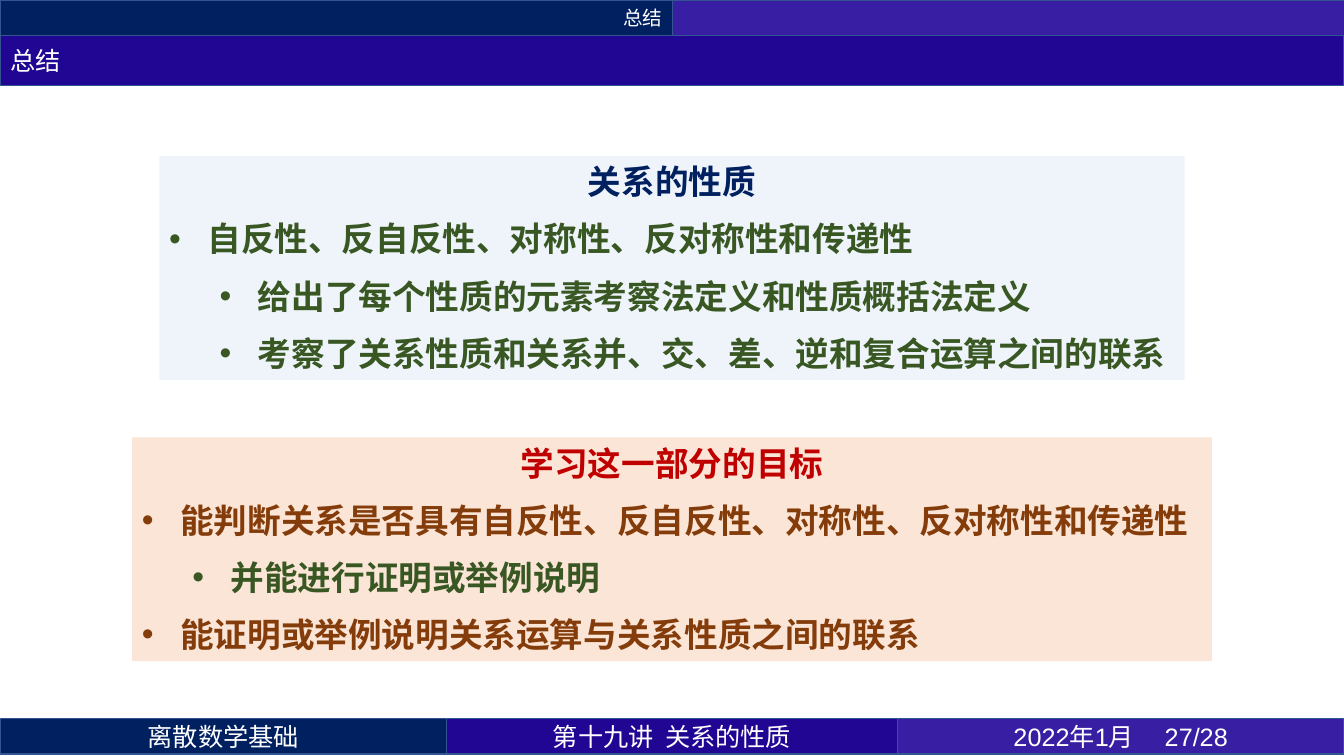
from lxml import etree
from pptx import Presentation
from pptx.dml.color import RGBColor
from pptx.enum.shapes import MSO_SHAPE as Shape
from pptx.enum.text import MSO_ANCHOR as Anchor, MSO_AUTO_SIZE as AutoSize, PP_ALIGN as Align
from pptx.oxml.ns import qn
from pptx.util import Inches, Pt

COLORS = {
    "navy": "002060", "indigo": "210694", "violet": "371EA2", "border": "325491",
    "white": "FFFFFF", "pale_blue": "DEEBF7", "peach": "FBE5D6",
    "green": "385723", "red": "C00000", "brown": "843C0B",
}
CJK_FONT = "Noto Sans CJK SC"


def write(paragraph, text, size=18, color="white", bold=False, align=Align.LEFT,
          font=CJK_FONT, bullet_level=None, before=0, after=0):
    """Fill a paragraph; bullet_level None means no bullet."""
    if bullet_level is not None:
        properties = paragraph._p.get_or_add_pPr()
        properties.set("marL", str(Inches(0.38 + 0.5 * bullet_level)))
        properties.set("indent", str(Inches(-0.38)))
        etree.SubElement(properties, qn("a:buFont")).set("typeface", "Arial")
        etree.SubElement(properties, qn("a:buChar")).set("char", "•")
        paragraph.level = bullet_level
    paragraph.alignment = align
    paragraph.space_before, paragraph.space_after = Pt(before), Pt(after)
    run = paragraph.add_run()
    run.text = text
    run.font.name = font
    run.font.size = Pt(size)
    run.font.bold = bold
    run.font.color.rgb = RGBColor.from_string(COLORS[color])
    east_asian = etree.SubElement(run.font._element, qn("a:ea"))
    east_asian.set("typeface", CJK_FONT)


def style(shape, fill, border=None, anchor=Anchor.MIDDLE):
    shape.fill.solid()
    shape.fill.fore_color.rgb = RGBColor.from_string(COLORS[fill])
    if border:
        shape.line.color.rgb = RGBColor.from_string(COLORS[border])
        shape.line.width = Pt(1)
    else:
        shape.line.fill.background()
    shape.text_frame.word_wrap = True
    shape.text_frame.auto_size = AutoSize.NONE
    shape.text_frame.vertical_anchor = anchor


presentation = Presentation()
presentation.slide_width, presentation.slide_height = Inches(13.33), Inches(7.5)
slide = presentation.slides.add_slide(presentation.slide_layouts[5])

# Header and footer bars
bars = [
    (0, 0, 6.67, "navy", "总结", 14, Align.RIGHT, CJK_FONT),
    (6.67, 0, 6.67, "violet", "", 14, Align.LEFT, CJK_FONT),
    (0, 7.13, 4.43, "navy", "离散数学基础", 18, Align.CENTER, CJK_FONT),
    (4.43, 7.13, 4.47, "indigo", "第十九讲  关系的性质", 18, Align.CENTER, CJK_FONT),
    (8.9, 7.13, 4.43, "violet", "2022年1月 \t27/28", 18, Align.CENTER, "Arial"),
]
for left, top, width, fill, text, size, align, font in bars:
    bar = slide.shapes.add_shape(
        Shape.RECTANGLE, Inches(left), Inches(top), Inches(width), Inches(0.35))
    bar.shadow.inherit = False
    style(bar, fill, "border")
    if text:
        write(bar.text_frame.paragraphs[0], text, size=size, align=align, font=font)

title = slide.shapes.title
title.left, title.top = Inches(0), Inches(0.35)
title.width, title.height = Inches(13.33), Inches(0.5)
style(title, "indigo", "border")
write(title.text_frame.paragraphs[0], "总结")

# Summary panels: heading, then bullets as (level, color, text)
panels = [
    (1.58, 1.55, 10.17, "pale_blue", "navy", "关系的性质", [
        (0, "green", "自反性、反自反性、对称性、反对称性和传递性"),
        (1, "green", "给出了每个性质的元素考察法定义和性质概括法定义"),
        (1, "green", "考察了关系性质和关系并、交、差、逆和复合运算之间的联系"),
    ]),
    (1.31, 4.34, 10.71, "peach", "red", "学习这一部分的目标", [
        (0, "brown", "能判断关系是否具有自反性、反自反性、对称性、反对称性和传递性"),
        (1, "green", "并能进行证明或举例说明"),
        (0, "brown", "能证明或举例说明关系运算与关系性质之间的联系"),
    ]),
]
for left, top, width, fill, heading_color, heading, bullets in panels:
    panel = slide.shapes.add_textbox(Inches(left), Inches(top), Inches(width), Inches(2.22))
    style(panel, fill, anchor=Anchor.TOP)
    if fill == "pale_blue":
        color_element = panel._element.spPr.find(qn("a:solidFill"))[0]
        etree.SubElement(color_element, qn("a:alpha")).set("val", "50000")
    frame = panel.text_frame
    write(frame.paragraphs[0], heading, size=24, color=heading_color, bold=True,
          align=Align.CENTER, after=6)
    for level, color, text in bullets:
        write(frame.add_paragraph(), text, size=24, color=color, bold=True,
              bullet_level=level, before=6, after=6)

presentation.save("out.pptx")
